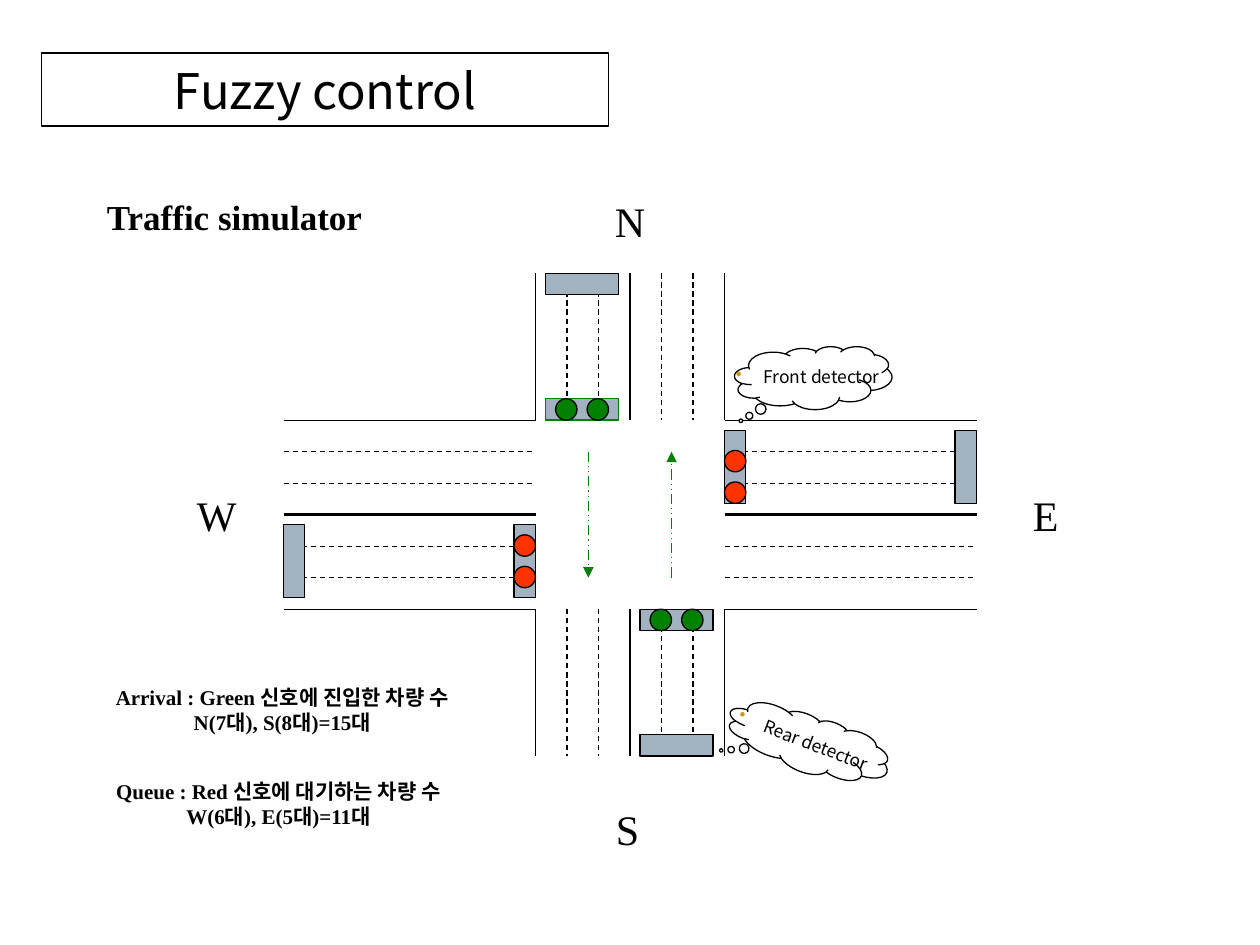
from lxml import etree
from pptx import Presentation
from pptx.dml.color import RGBColor
from pptx.enum.dml import MSO_LINE
from pptx.enum.shapes import MSO_CONNECTOR, MSO_SHAPE
from pptx.enum.text import MSO_ANCHOR, MSO_AUTO_SIZE, PP_ALIGN
from pptx.oxml.ns import qn
from pptx.util import Inches, Pt

BLACK = RGBColor(0, 0, 0)
WHITE = RGBColor(255, 255, 255)
GREY = RGBColor(0xA3, 0xB2, 0xC1)
GREEN = RGBColor(0, 0x80, 0)
RED = RGBColor(0xFF, 0x33, 0)
GOLD = RGBColor(0xCC, 0x99, 0)

STRAIGHT = MSO_CONNECTOR.STRAIGHT
RECT, OVAL, CLOUD = MSO_SHAPE.RECTANGLE, MSO_SHAPE.OVAL, MSO_SHAPE.CLOUD_CALLOUT
DASH, DOTS = MSO_LINE.DASH, MSO_LINE.DASH_DOT_DOT
LEFT, CENTER = PP_ALIGN.LEFT, PP_ALIGN.CENTER
TOP, MIDDLE, BOTTOM = MSO_ANCHOR.TOP, MSO_ANCHOR.MIDDLE, MSO_ANCHOR.BOTTOM
FIT, FIXED = MSO_AUTO_SIZE.SHAPE_TO_FIT_TEXT, MSO_AUTO_SIZE.NONE

SERIF, SANS = "Times New Roman", "Noto Sans CJK KR"
LANE, PAD, DEEP = 0.25, 0.58, 0.17
HALF = 3 * LANE


def add_run(para, text, font, size, bold=False):
    run = para.add_run()
    run.text = text
    run.font.name = font
    run.font.size = Pt(size)
    run.font.bold = bold
    run.font.color.rgb = BLACK
    east = etree.SubElement(run.font._element, qn("a:ea"))
    east.set("typeface", SANS)


def paint(shape, fill, edge=BLACK):
    shape.fill.solid()
    shape.fill.fore_color.rgb = fill
    shape.line.color.rgb = edge
    shape.line.width = Pt(0.75)


def add_form(slide, kind, box, fill, edge=BLACK):
    shape = slide.shapes.add_shape(kind, *map(Inches, box))
    shape.shadow.inherit = False
    paint(shape, fill, edge)
    return shape


def add_line(slide, start, end, color=BLACK, width=0.75, dash=None, arrow=False):
    line = slide.shapes.add_connector(STRAIGHT, *map(Inches, start + end))
    line.line.color.rgb = color
    line.line.width = Pt(width)
    if dash:
        line.line.dash_style = dash
    if arrow:
        tail = etree.SubElement(line.line._get_or_add_ln(), qn("a:tailEnd"))
        tail.set("type", "triangle")
    etree.SubElement(line._element.spPr, qn("a:effectLst"))


def add_text(slide, box, lines, size, bold=False, align=CENTER, anchor=MIDDLE,
             wrap=False):
    frame = slide.shapes.add_textbox(*map(Inches, box)).text_frame
    frame.word_wrap = wrap
    frame.auto_size = FIT
    frame.vertical_anchor = anchor
    for i, text in enumerate(lines):
        para = frame.add_paragraph() if i else frame.paragraphs[0]
        para.alignment = align
        add_run(para, text, SERIF, size, bold)


def add_title(slide, box, text):
    title = slide.shapes.title
    title.left, title.top, title.width, title.height = map(Inches, box)
    paint(title, WHITE)
    frame = title.text_frame
    frame.auto_size = FIXED
    frame.vertical_anchor = BOTTOM
    frame.paragraphs[0].alignment = CENTER
    add_run(frame.paragraphs[0], text, SANS, 28)


def add_road(slide, box, upright):
    """Six lanes: solid kerbs, a heavy middle line, dashes between."""
    left, top, wide, high = box
    for i in range(7):
        step = i * LANE
        if upright:
            start, end = (left + step, top), (left + step, top + high)
        else:
            start, end = (left, top + step), (left + wide, top + step)
        add_line(slide, start, end, width=1.5 if i == 3 else 0.75,
                 dash=DASH if i % 3 else None)


def add_pads(slide, upright, side, front, rear, color, first, edge=BLACK):
    """Front and rear detectors of one approach, with two lights in front."""
    def place(along, across, length):
        if upright:
            return across, along, length, DEEP
        return along, across, DEEP, length

    add_form(slide, RECT, place(rear, side, PAD), GREY)
    add_form(slide, RECT, place(front, side, PAD), GREY, edge)
    for i in range(2):
        spot = place(front, side + first + i * LANE, DEEP)
        add_form(slide, OVAL, spot, color)


def add_cross(slide, box):
    left, top, wide, high = box
    right, base = left + wide, top + high
    mid_x, mid_y = left + wide / 2, top + high / 2
    west, east = mid_x - HALF, mid_x + HALF
    north, south = mid_y - HALF, mid_y + HALF

    # Roads
    for start in (left, east):
        add_road(slide, (start, north, west - left, 2 * HALF), False)
    for start in (top, south):
        add_road(slide, (west, start, 2 * HALF, north - top), True)

    # Detectors and lights
    near, far = 0.08, HALF + 0.08
    add_pads(slide, True, west + near, north - DEEP, top, GREEN, 0.08, GREEN)
    add_pads(slide, True, west + far, south, base - DEEP, GREEN, 0.08)
    add_pads(slide, False, north + near, east, right - DEEP, RED, 0.16)
    add_pads(slide, False, north + far, west - DEEP, left, RED, 0.08)

    # Green flows
    high_y, low_y = mid_y - 0.5, mid_y + 0.5
    for x, start, end in ((mid_x - 0.33, high_y, low_y),
                          (mid_x + 0.33, low_y, high_y)):
        add_line(slide, (x, start), (x, end), GREEN, dash=DOTS, arrow=True)

    # Compass points
    for name, x, y, w in (("N", mid_x, top - 0.42, 0.44),
                          ("S", mid_x - 0.02, base + 0.58, 0.47),
                          ("W", left - 0.53, mid_y, 0.52),
                          ("E", right + 0.55, mid_y, 0.4)):
        add_text(slide, (x - w / 2, y - 0.25, w, 0.5), [name], 24)


def add_cloud(slide, box, text, tip, turn=0):
    cloud = add_form(slide, CLOUD, box, WHITE)
    cloud.rotation = turn
    cloud.adjustments[0], cloud.adjustments[1] = tip
    frame = cloud.text_frame
    frame.word_wrap = False
    frame.vertical_anchor = MIDDLE
    para = frame.paragraphs[0]
    para.alignment = CENTER
    props = para._element.get_or_add_pPr()
    props.set("marL", str(Inches(0.22)))
    props.set("indent", str(-Inches(0.22)))
    tint = etree.SubElement(props, qn("a:buClr"))
    etree.SubElement(tint, qn("a:srgbClr")).set("val", str(GOLD))
    etree.SubElement(props, qn("a:buChar")).set("char", "•")
    add_run(para, text, SANS, 10)


def main():
    deck = Presentation()
    deck.slide_width, deck.slide_height = Inches(10), Inches(7.5)
    slide = deck.slides.add_slide(deck.slide_layouts[0])
    extra = slide.placeholders[1]._element
    extra.getparent().remove(extra)

    # Headings
    add_title(slide, (0.33, 0.42, 4.5, 0.58), "Fuzzy control")
    add_text(slide, (0.75, 1.5, 3.83, 0.43), ["Traffic simulator"], 20, True,
             LEFT, TOP, True)

    # Crossing and its labels
    add_cross(slide, (2.25, 2.17, 5.5, 3.83))
    add_cloud(slide, (5.83, 2.75, 1.25, 0.5), "Front detector", (-0.46, 0.68))
    add_cloud(slide, (5.75, 5.67, 1.33, 0.46), "Rear detector", (-0.47, 0.65), 20.9)

    # Counts
    add_text(slide, (0.75, 5.38, 2.98, 0.5),
             ["Arrival : Green 신호에 진입한 차량 수", "N(7대), S(8대)=15대"], 12, True)
    add_text(slide, (0.75, 6.13, 2.92, 0.5),
             ["Queue : Red 신호에 대기하는 차량 수", "W(6대), E(5대)=11대"], 12, True)
    deck.save("out.pptx")


if __name__ == "__main__":
    main()
